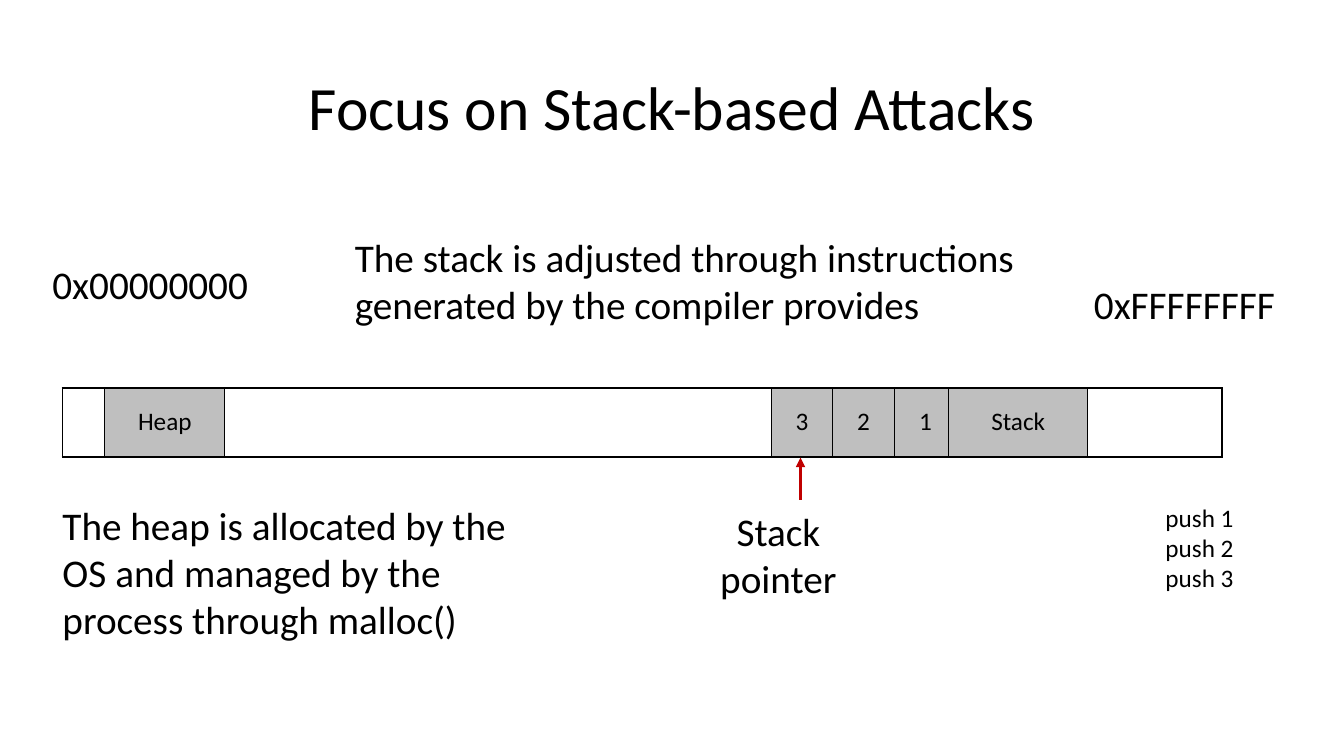
"""Build the slide on stack-based attacks with its memory map."""
from dataclasses import dataclass

from lxml import etree
from pptx import Presentation
from pptx.dml.color import RGBColor
from pptx.enum.shapes import MSO_CONNECTOR
from pptx.enum.text import MSO_ANCHOR, PP_ALIGN
from pptx.oxml.ns import qn
from pptx.util import Inches, Pt

STRAIGHT = MSO_CONNECTOR.STRAIGHT
MIDDLE = MSO_ANCHOR.MIDDLE
LEFT, CENTER = PP_ALIGN.LEFT, PP_ALIGN.CENTER


@dataclass(frozen=True)
class Theme:
    """Colours, font and type sizes of the slide."""
    ink: str = "000000"
    used_memory: str = "BFBFBF"
    pointer: str = "C00000"
    font: str = "Calibri"
    title: float = 44
    body: float = 28
    label: float = 18
    divider: float = 1
    outline: float = 1.5
    arrow: float = 2.25


def apply(target, formats):
    """Set every attribute named in formats on target."""
    for name, value in formats.items():
        setattr(target, name, value)


class SlideBuilder:
    """Draws elements of one style on one slide."""

    def __init__(self, slide, theme):
        """Keep the slide and its theme."""
        self.slide = slide
        self.theme = theme

    def style_words(self, paragraph, words, size, formats):
        """Put styled words in a paragraph."""
        paragraph.text = words
        apply(paragraph, formats)
        apply(paragraph.font, {"name": self.theme.font, "size": Pt(size)})
        paragraph.font.color.rgb = RGBColor.from_string(self.theme.ink)

    def text(self, box, lines, size, align=LEFT, spacing=1.0):
        """Add a wrapping text box with one paragraph per line."""
        frame = self.slide.shapes.add_textbox(*map(Inches, box)).text_frame
        apply(frame, {"word_wrap": True, "margin_left": 0, "margin_right": 0,
                      "margin_top": Inches(0.01), "margin_bottom": 0})
        for index, line in enumerate(lines):
            paragraph = frame.add_paragraph() if index else frame.paragraphs[0]
            self.style_words(paragraph, line, size,
                             {"alignment": align, "line_spacing": spacing})

    def border(self, cell, side, width):
        """Add a solid border to one side of a cell."""
        edge = etree.SubElement(cell._tc.get_or_add_tcPr(), qn(f"a:ln{side}"),
                                w=str(Pt(width)))
        fill = etree.SubElement(edge, qn("a:solidFill"))
        etree.SubElement(fill, qn("a:srgbClr"), val=self.theme.ink)

    def memory_map(self, left, top, height, regions):
        """Add a one-row table of (label, width) memory regions."""
        theme = self.theme
        total = sum(width for _, width in regions)
        table = self.slide.shapes.add_table(
            1, len(regions), *map(Inches, (left, top, total, height))).table
        apply(table, {"first_row": False, "horz_banding": False})
        last = len(regions) - 1
        for index, (label, width) in enumerate(regions):
            table.columns[index].width = Inches(width)
            cell = table.cell(0, index)
            apply(cell, {"margin_left": Inches(0.08 if label == "1" else 0),
                         "margin_right": 0, "margin_top": 0,
                         "margin_bottom": 0, "vertical_anchor": MIDDLE})
            self.border(cell, "L", theme.divider if index else theme.outline)
            self.border(cell, "R", theme.divider if index < last else theme.outline)
            self.border(cell, "T", theme.outline)
            self.border(cell, "B", theme.outline)
            if label:
                cell.fill.solid()
                cell.fill.fore_color.rgb = RGBColor.from_string(theme.used_memory)
                self.style_words(cell.text_frame.paragraphs[0], label,
                                 theme.label, {"alignment": CENTER})
            else:
                cell.fill.background()

    def arrow(self, start, end):
        """Add a straight arrow pointing at end."""
        connector = self.slide.shapes.add_connector(
            STRAIGHT, *map(Inches, (*start, *end)))
        connector.line.color.rgb = RGBColor.from_string(self.theme.pointer)
        connector.line.width = Pt(self.theme.arrow)
        properties = connector._element.spPr
        etree.SubElement(properties.find(qn("a:ln")), qn("a:tailEnd"),
                         type="triangle")
        etree.SubElement(properties, qn("a:effectLst"))


def main():
    """Lay out the slide and save it."""
    deck = Presentation()
    apply(deck, {"slide_width": Inches(13.33), "slide_height": Inches(7.5)})
    theme = Theme()
    builder = SlideBuilder(deck.slides.add_slide(deck.slide_layouts[6]), theme)

    builder.text((2.43, 0.67, 8.47, 0.76), ["Focus on Stack-based Attacks"],
                 theme.title, CENTER)
    builder.memory_map(0.62, 3.85, 0.68, [
        ("", 0.42), ("Heap", 1.19), ("", 5.42), ("3", 0.61), ("2", 0.61),
        ("1", 0.54), ("Stack", 1.38), ("", 1.33)])
    builder.arrow((7.94, 4.96), (7.94, 4.54))

    captions = [
        ((0.52, 2.57, 2.1, 0.49), "0x00000000", LEFT),
        ((10.85, 2.77, 1.95, 0.49), "0xFFFFFFFF", LEFT),
        ((3.52, 2.3, 6.7, 0.96), "The stack is adjusted through instructions "
         "generated by the compiler provides", LEFT),
        ((0.62, 4.96, 4.5, 1.43), "The heap is allocated by the OS and managed "
         "by the process through malloc()", LEFT),
        ((7.12, 5.02, 1.2, 0.97), "Stack pointer", CENTER),
    ]
    for box, words, align in captions:
        builder.text(box, [words], theme.body, align)
    builder.text((11.56, 4.98, 0.8, 0.92),
                 [f"push {number}" for number in range(1, 4)],
                 theme.label, spacing=Pt(21.4))
    deck.save("out.pptx")


if __name__ == "__main__":
    main()
